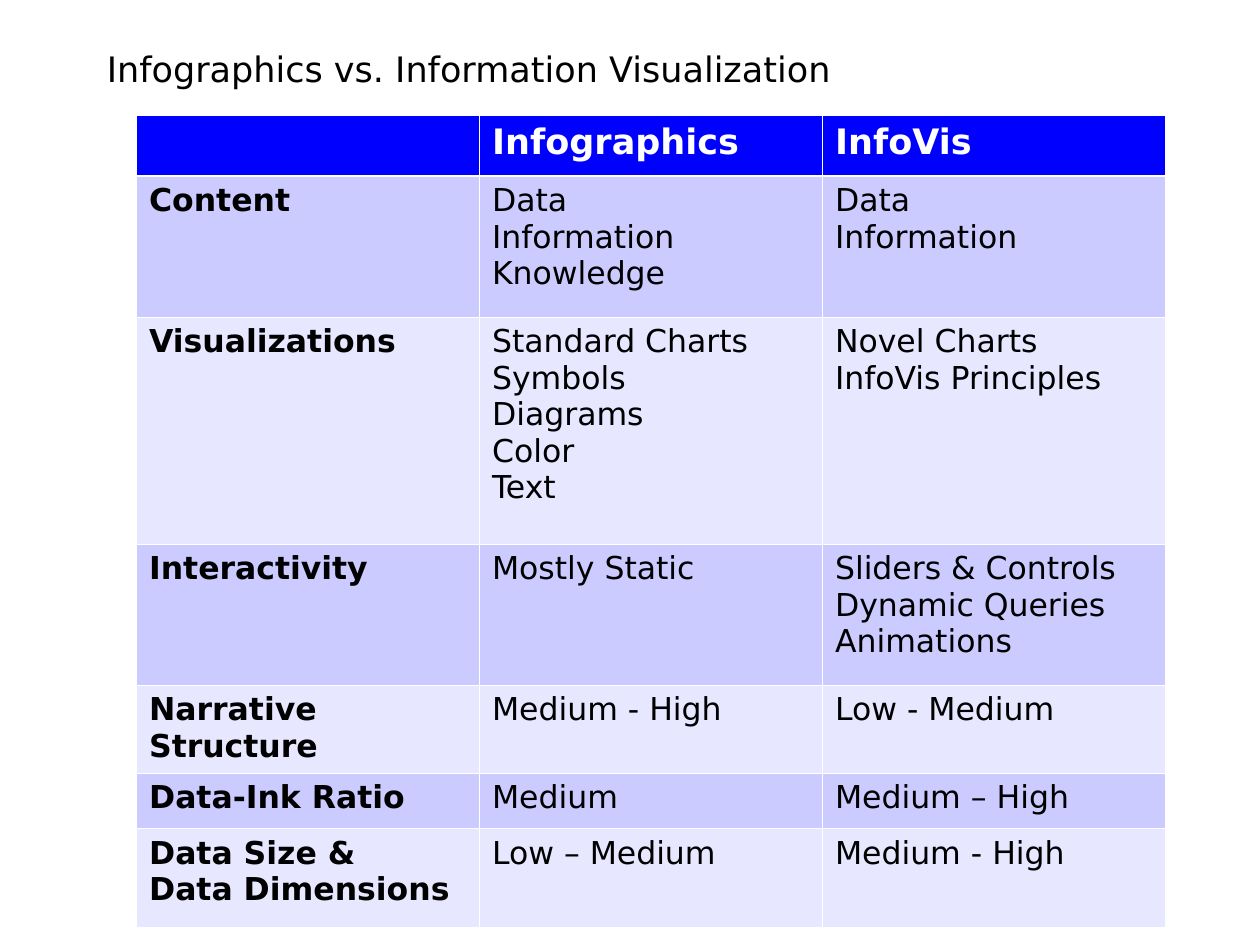
"""Build a slide with a table comparing infographics and information visualization."""
from lxml.etree import SubElement
from pptx import Presentation
from pptx.dml.color import RGBColor
from pptx.enum.text import MSO_ANCHOR
from pptx.oxml.ns import qn
from pptx.util import Pt


def color(value):
    return RGBColor.from_string(value)


def add_text(paragraph, text, size, text_color, bold=False):
    for index, line in enumerate(text.split("\v")):
        if index:
            paragraph.add_line_break()
        run = paragraph.add_run()
        run.text = line
        run.font.name = "DejaVu Sans"
        run.font.size = Pt(size)
        run.font.bold = bold
        run.font.color.rgb = color(text_color)


comparison = [
    (34.5, [""], ["Infographics"], ["InfoVis"]),
    (80.6, ["Content"], ["Data", "Information", "Knowledge"], ["Data", "Information"]),
    (129.6, ["Visualizations"],
     ["Standard Charts", "Symbols", "Diagrams", "Color", "Text"],
     ["Novel Charts", "InfoVis Principles"]),
    (80.6, ["Interactivity"], ["Mostly Static"],
     ["Sliders & Controls", "Dynamic Queries", "Animations"]),
    (49.2, ["Narrative Structure"], ["Medium - High"], ["Low - Medium"]),
    (31.6, ["Data-Ink Ratio"], ["Medium"], ["Medium – High"]),
    (56.2, ["Data Size &\vData Dimensions"], ["Low – Medium"], ["Medium - High"]),
]

presentation = Presentation()
presentation.slide_width = Pt(720)
presentation.slide_height = Pt(540)
slide = presentation.slides.add_slide(presentation.slide_layouts[6])

title = slide.shapes.add_textbox(Pt(54), Pt(18), Pt(612), Pt(42)).text_frame
title.word_wrap = True
title.vertical_anchor = MSO_ANCHOR.MIDDLE
add_text(title.paragraphs[0], "Infographics vs. Information Visualization", 20, "000000")

table_height = sum(row[0] for row in comparison)
table = slide.shapes.add_table(
    len(comparison), 3, Pt(78), Pt(66.2), Pt(588), Pt(table_height)
).table
table.horz_banding = False
for column in table.columns:
    column.width = Pt(196)

for row_index, (height, *entries) in enumerate(comparison):
    table.rows[row_index].height = Pt(height)
    is_header = row_index == 0
    if is_header:
        band, text_color, size = "0000FF", "FFFFFF", 20
    else:
        band, text_color, size = ("E7E7FF", "CBCBFF")[row_index % 2], "000000", 18

    for column_index, lines in enumerate(entries):
        cell = table.cell(row_index, column_index)
        cell.margin_left = cell.margin_right = Pt(7.2)
        cell.margin_top = cell.margin_bottom = Pt(3.6)

        cell_properties = cell._tc.get_or_add_tcPr()
        for side in ("L", "R", "T", "B"):
            under_header = (row_index, side) in ((0, "B"), (1, "T"))
            border = SubElement(cell_properties, qn(f"a:ln{side}"),
                                w=str(Pt(1.47 if under_header else 0.45)))
            border_fill = SubElement(border, qn("a:solidFill"))
            SubElement(border_fill, qn("a:srgbClr"), val="FFFFFF")
        cell.fill.solid()
        cell.fill.fore_color.rgb = color(band)

        for line_index, line in enumerate(lines):
            frame = cell.text_frame
            paragraph = frame.add_paragraph() if line_index else frame.paragraphs[0]
            if line:
                add_text(paragraph, line, size, text_color, is_header or column_index == 0)

presentation.save("out.pptx")
